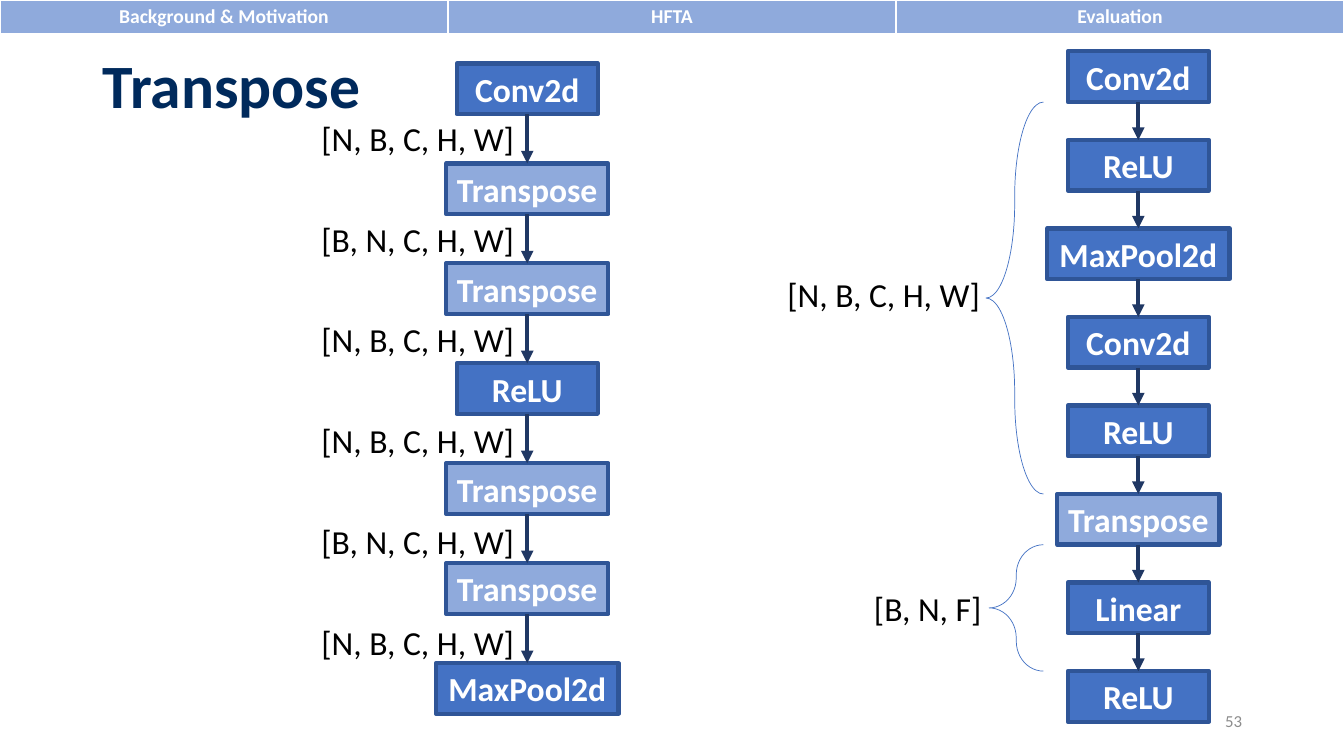
from dataclasses import dataclass

from lxml import etree
from pptx import Presentation
from pptx.dml.color import RGBColor
from pptx.enum.shapes import MSO_CONNECTOR, MSO_SHAPE
from pptx.enum.text import MSO_ANCHOR, MSO_AUTO_SIZE, PP_ALIGN
from pptx.oxml.ns import qn
from pptx.util import Inches, Pt

LEFT, MID, RIGHT = PP_ALIGN.LEFT, PP_ALIGN.CENTER, PP_ALIGN.RIGHT
TOP, CENTRE = MSO_ANCHOR.TOP, MSO_ANCHOR.MIDDLE
RECT, BRACE = MSO_SHAPE.RECTANGLE, MSO_SHAPE.LEFT_BRACE
STRAIGHT, FIXED = MSO_CONNECTOR.STRAIGHT, MSO_AUTO_SIZE.NONE

WIDE, HIGH = Inches(13.33), Inches(7.5)
COL, ROW = WIDE / 100, HIGH / 100  # a grid of 100 columns by 100 rows

HUES = {
    "op": "4472C4", "swap": "8FAADC", "edge": "2F5597", "arrow": "203864",
    "title": "002A5C", "page": "8C8C8C", "text": "000000", "white": "FFFFFF",
}
TABS = ["Background & Motivation", "HFTA", "Evaluation"]
NBCHW, BNCHW = "[N, B, C, H, W]", "[B, N, C, H, W]"
BOX_HIGH = 6.7
BOX_WIDE = {"MaxPool2d": 13.58, "Transpose": 12.08}
BASE_WIDE = 10.5


@dataclass
class Flow:
    """A column of boxes, centred on column mid, one every pitch rows."""
    mid: float
    top: float
    pitch: float
    steps: list[str]

    def head(self, i: int) -> float:
        return self.top + i * self.pitch

    def foot(self, i: int) -> float:
        return self.head(i) + BOX_HIGH


@dataclass
class Note:
    text: str
    left: float
    top: float
    wide: float = 16.2


@dataclass
class Span:
    """A brace from the foot of one box to the head of another."""
    start: int
    end: int
    wide: float
    bend: float


LONG = Flow(39.23, 8.4, 13.22, ["Conv2d", "Transpose", "Transpose", "ReLU",
                                "Transpose", "Transpose", "MaxPool2d"])
SHORT = Flow(84.7, 6.8, 11.71, ["Conv2d", "ReLU", "MaxPool2d", "Conv2d", "ReLU",
                                "Transpose", "Linear", "ReLU"])
SHAPES = [NBCHW, BNCHW, NBCHW] * 2
NOTES = [Note(text, 23.18, 14.93 + i * 13.33) for i, text in enumerate(SHAPES)]
NOTES += [Note(NBCHW, 57.84, 35.6), Note("[B, N, F]", 64.29, 77.07, 9.75)]
SPANS = [Span(0, 5, 4.28, 1.64), Span(5, 7, 4.05, 0.55)]
BRACE_END = 77.64


def hue(name: str) -> RGBColor:
    return RGBColor.from_string(HUES[name])


def area(left: float, top: float, wide: float, high: float) -> list[int]:
    return [int(left * COL), int(top * ROW), int(wide * COL), int(high * ROW)]


def write(frame, text: str, size: int, tint: str, bold: bool = False,
          align=LEFT, anchor=TOP, wrap: bool = True) -> None:
    looks = {"word_wrap": wrap, "auto_size": FIXED, "vertical_anchor": anchor}
    for key, value in looks.items():
        setattr(frame, key, value)
    frame.text = text
    para = frame.paragraphs[0]
    para.alignment = align
    font = para.runs[0].font
    for key, value in {"name": "Calibri", "size": Pt(size), "bold": bold}.items():
        setattr(font, key, value)
    font.color.rgb = hue(tint)


def stroke(line, tint: str, width: float) -> None:
    line.color.rgb = hue(tint)
    line.width = Pt(width)


def add_tabs(slide) -> None:
    table = slide.shapes.add_table(1, len(TABS), *area(0, 0, 100, 4.4)).table
    for cell, text in zip(table.rows[0].cells, TABS):
        cell.fill.solid()
        cell.fill.fore_color.rgb = hue("swap")
        cell.margin_top = cell.margin_bottom = Inches(0.04)
        cell.vertical_anchor = CENTRE
        cell.text = text
        para = cell.text_frame.paragraphs[0]
        para.alignment = MID
        font = para.runs[0].font
        for key, value in {"name": "Calibri", "size": Pt(14), "bold": True}.items():
            setattr(font, key, value)
        font.color.rgb = hue("white")


def add_title(slide) -> None:
    title = slide.shapes.title
    spot = area(6.9, 2, 86.25, 19.33)
    for key, value in zip(("left", "top", "width", "height"), spot):
        setattr(title, key, value)
    write(title.text_frame, "Transpose", 44, "title", True, anchor=CENTRE)
    title.text_frame.paragraphs[0].line_spacing = 0.9


def add_box(slide, flow: Flow, i: int) -> None:
    name = flow.steps[i]
    wide = BOX_WIDE.get(name, BASE_WIDE)
    box = slide.shapes.add_shape(
        RECT, *area(flow.mid - wide / 2, flow.head(i), wide, BOX_HIGH))
    box.shadow.inherit = False
    box.fill.solid()
    box.fill.fore_color.rgb = hue("swap" if name == "Transpose" else "op")
    stroke(box.line, "edge", 3)
    write(box.text_frame, name, 24, "white", True, MID, CENTRE, False)


def add_arrow(slide, flow: Flow, i: int) -> None:
    """Join box i to the next one."""
    x = int(flow.mid * COL)
    arrow = slide.shapes.add_connector(
        STRAIGHT, x, int(flow.foot(i) * ROW), x, int(flow.head(i + 1) * ROW))
    stroke(arrow.line, "arrow", 3)
    props = arrow.line._get_or_add_ln()
    etree.SubElement(props, qn("a:tailEnd"), type="triangle")
    etree.SubElement(arrow._element.spPr, qn("a:effectLst"))


def add_flow(slide, flow: Flow) -> None:
    for i in range(len(flow.steps)):
        add_box(slide, flow, i)
    for i in range(len(flow.steps) - 1):
        add_arrow(slide, flow, i)


def add_note(slide, note: Note) -> None:
    box = slide.shapes.add_textbox(*area(note.left, note.top, note.wide, BOX_HIGH))
    write(box.text_frame, note.text, 24, "text")


def add_brace(slide, flow: Flow, span: Span) -> None:
    top, end = flow.foot(span.start), flow.head(span.end)
    brace = slide.shapes.add_shape(
        BRACE, *area(BRACE_END - span.wide, top, span.wide, end - top))
    brace.shadow.inherit = False
    brace.fill.background()
    brace.adjustments[0] = span.bend
    stroke(brace.line, "op", 0.5)


def add_page(slide) -> None:
    box = slide.shapes.add_textbox(*area(70.67, 92.67, 22.5, 5.33))
    write(box.text_frame, "53", 12, "page", align=RIGHT, anchor=CENTRE)


def main() -> None:
    deck = Presentation()
    deck.slide_width, deck.slide_height = WIDE, HIGH
    slide = deck.slides.add_slide(deck.slide_layouts.get_by_name("Title Only"))
    add_tabs(slide)
    add_title(slide)
    add_page(slide)
    for flow in (LONG, SHORT):
        add_flow(slide, flow)
    for note in NOTES:
        add_note(slide, note)
    for span in SPANS:
        add_brace(slide, SHORT, span)
    deck.save("out.pptx")


if __name__ == "__main__":
    main()
